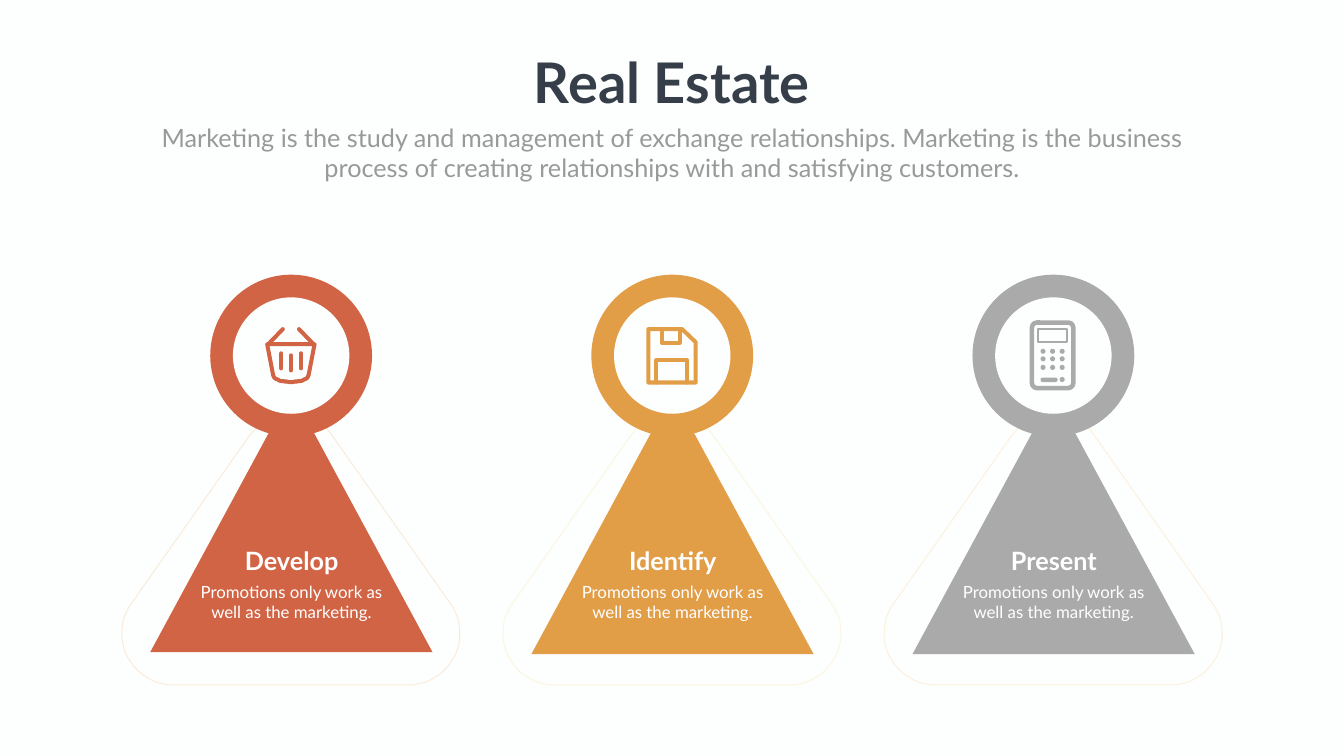
from dataclasses import dataclass
from typing import Callable

from lxml import etree
from pptx import Presentation, util as u
from pptx.dml.color import RGBColor
from pptx.enum import shapes, text
from pptx.oxml.ns import qn

PX = 9144  # EMU in one px, 100 px to the inch
FONT = "Lato"
FIRST_CENTER, PITCH = 577, 756
RING_MIDDLE = 705
COLORS = {
    "background": "FDFFFE",
    "title": "363E49",
    "subtitle": "989998",
    "label": "FFFFFF",
    "red": "D26446",
    "orange": "E29D47",
    "gray": "A9AAA9",
    "pale orange": "FAEBDA",
    "pale yellow": "FCF6DF",
    "pale amber": "FBF1DC",
}
Point = tuple[float, float]


def rgb(name: str) -> RGBColor:
    return RGBColor.from_string(COLORS[name])


def bezier(a: Point, b: Point, c: Point, d: Point, steps: int = 24) -> list[Point]:
    """Sample a cubic curve from a to d."""
    points = []
    for step in range(steps + 1):
        t = step / steps
        s = 1 - t
        weights = (s ** 3, 3 * s * s * t, 3 * s * t * t, t ** 3)
        points.append(tuple(sum(w * p[axis] for w, p in zip(weights, (a, b, c, d)))
                            for axis in (0, 1)))
    return points


def mirror(points: list[Point]) -> list[Point]:
    """Reflect points about x = 0, in reverse order."""
    return [(-x, y) for x, y in reversed(points)]


def style_line(item, color: str, width: int) -> None:
    item.line.color.rgb = rgb(color)
    item.line.width = u.Emu(width * PX)
    line = item._element.spPr.find(qn("a:ln"))
    line.set("cap", "rnd")
    etree.SubElement(line, qn("a:round"))


def draw_stroke(slide, points: list[Point], color: str, width: int, closed: bool = False) -> None:
    """Draw an unfilled line through points given in slide px."""
    if len(points) == 2:
        ends = [u.Emu(int(value * PX)) for point in points for value in point]
        connector = slide.shapes.add_connector(shapes.MSO_CONNECTOR.STRAIGHT, *ends)
        style_line(connector, color, width)
        etree.SubElement(connector._element.spPr, qn("a:effectLst"))
        return
    builder = slide.shapes.build_freeform(*points[0], scale=PX)
    builder.add_line_segments(points[1:], close=closed)
    outline = builder.convert_to_shape()
    outline.shadow.inherit = False
    outline.fill.background()
    style_line(outline, color, width)


def draw_shape(slide, kind, left: int, top: int, width: int, height: int,
               color: str, line_width: int = 0):
    """Draw a filled shape, or only its outline if a line width is given."""
    box = slide.shapes.add_shape(kind, *(u.Emu(v * PX) for v in (left, top, width, height)))
    box.shadow.inherit = False
    if line_width:
        box.fill.background()
        style_line(box, color, line_width)
    else:
        box.fill.solid()
        box.fill.fore_color.rgb = rgb(color)
        box.line.fill.background()
    return box


def draw_icon_strokes(slide, center: int, color: str, width: int,
                      strokes: list[list[Point]]) -> None:
    for stroke in strokes:
        points = [(center + x, RING_MIDDLE + y) for x, y in stroke]
        draw_stroke(slide, points, color, width, closed=stroke[0] == stroke[-1])


def draw_basket(slide, center: int, color: str) -> None:
    left_side = [(-47, -22), (-35, 40)]
    base = bezier((-35, 40), (-31, 57), (31, 57), (35, 40))
    handle = [(-44, -23), (-16, -52)]
    bars = [[(x, top), (x, top + 30)] for x, top in ((-19, -4), (0, 0), (20, -4))]
    body = left_side + base + mirror(left_side) + left_side[:1]
    draw_icon_strokes(slide, center, color, 8, [body, handle, mirror(handle), *bars])


def draw_floppy_disk(slide, center: int, color: str) -> None:
    case = [(-47, -52), (20, -52), (47, -26), (47, 54), (-47, 54), (-47, -52)]
    shutter = [(-20, -52), (-20, -25), (15, -25), (15, -52)]
    label = [(-31, 54), (-31, 10), (30, 10), (30, 54)]
    draw_icon_strokes(slide, center, color, 8, [case, shutter, label])


def draw_calculator(slide, center: int, color: str) -> None:
    rounded, oval = shapes.MSO_SHAPE.ROUNDED_RECTANGLE, shapes.MSO_SHAPE.OVAL
    case = draw_shape(slide, rounded, center - 42, 640, 82, 130, color, 9)
    case.adjustments[0] = 0.12
    draw_shape(slide, shapes.MSO_SHAPE.RECTANGLE, center - 29, 653, 57, 26, color, 4)
    keys = [(column, top) for top in (692, 707, 724) for column in range(3)]
    for column, top in keys + [(2, 748)]:
        draw_shape(slide, oval, center - 25 + 19 * column, top, 10, 10, color)
    bar = draw_shape(slide, rounded, center - 25, 749, 34, 9, color)
    bar.adjustments[0] = 0.5


@dataclass
class Column:
    heading: str
    color: str
    frame_color: str
    triangle_top: int
    draw_icon: Callable


COLUMNS = [
    Column("Develop", "red", "pale orange", 776, draw_basket),
    Column("Identify", "orange", "pale yellow", 780, draw_floppy_disk),
    Column("Present", "gray", "pale amber", 780, draw_calculator),
]


def write_text(box, content: str, size: int, color: str, bold: bool = False) -> None:
    frame = box.text_frame
    frame.text = content
    frame.word_wrap = True
    frame.auto_size = text.MSO_AUTO_SIZE.NONE
    frame.vertical_anchor = text.MSO_ANCHOR.TOP
    para = frame.paragraphs[0]
    para.alignment = text.PP_ALIGN.CENTER
    para.space_before = u.Pt(0)
    font = para.runs[0].font
    font.name, font.size, font.bold = FONT, u.Pt(size), bold
    font.color.rgb = rgb(color)


def place(box, left: int, top: int, width: int, height: int) -> None:
    box.left, box.top, box.width, box.height = (u.Emu(v * PX) for v in (left, top, width, height))


def add_label(slide, content: str, center: int, top: int, width: int, height: int,
              size: int, bold: bool = False) -> None:
    box = slide.shapes.add_textbox(0, 0, 0, 0)
    place(box, center - width // 2, top, width, height)
    write_text(box, content, size, "label", bold)


def draw_frame(slide, center: int, color: str) -> None:
    """Draw the rounded triangular outline."""
    corner = bezier((-316, 1197), (-365, 1265), (-316, 1359), (-232, 1359))
    apex = bezier((84, 867), (43, 808), (-41, 808), (-84, 867))
    outline = [(center + x, y) for x, y in corner + mirror(corner) + apex]
    draw_stroke(slide, outline, color, 2, closed=True)


def draw_column(slide, column: Column, center: int) -> None:
    draw_shape(slide, shapes.MSO_SHAPE.ISOSCELES_TRIANGLE, center - 279, column.triangle_top,
               560, 518, column.color)
    draw_frame(slide, center, column.frame_color)
    for diameter, color in ((321, column.color), (231, "background")):
        radius = diameter // 2
        draw_shape(slide, shapes.MSO_SHAPE.OVAL, center - radius, RING_MIDDLE - radius,
                   diameter, diameter, color)
    column.draw_icon(slide, center, column.color)
    add_label(slide, column.heading, center + 1, 1078, 261, 71, 36, bold=True)
    add_label(slide, "Promotions only work as well as the marketing.",
              center + 1, 1149, 402, 91, 24)


def main() -> None:
    deck = Presentation()
    deck.slide_width, deck.slide_height = u.Emu(2666 * PX), u.Emu(1500 * PX)
    slide = deck.slides.add_slide(deck.slide_layouts[0])
    slide.background.fill.solid()
    slide.background.fill.fore_color.rgb = rgb("background")
    title, subtitle = slide.placeholders
    place(title, 1000, 89, 666, 145)
    write_text(title, "Real Estate", 80, "title", bold=True)
    place(subtitle, 292, 237, 2082, 131)
    write_text(subtitle, "Marketing is the study and management of exchange relationships. "
               "Marketing is the business process of creating relationships with "
               "and satisfying customers.", 36, "subtitle")
    for index, column in enumerate(COLUMNS):
        draw_column(slide, column, FIRST_CENTER + PITCH * index)
    deck.save("out.pptx")


if __name__ == "__main__":
    main()
